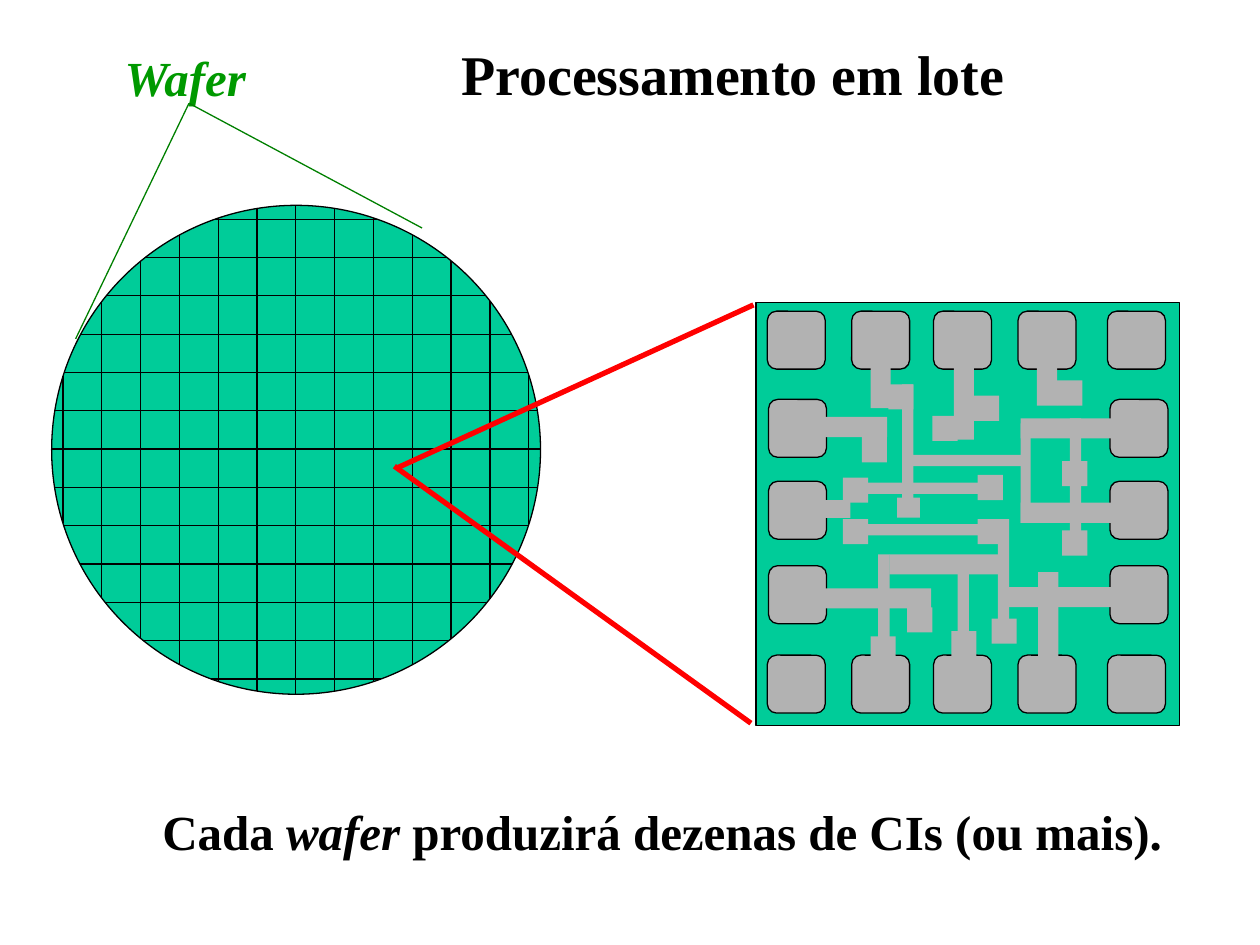
from math import sqrt
from lxml import etree
from pptx import Presentation, util as u
from pptx.dml.color import RGBColor
from pptx.enum import shapes as s, text as t
from pptx.oxml.ns import qn

TEAL = RGBColor(0x00, 0xCC, 0x99)
GRAY = RGBColor(0xB2, 0xB2, 0xB2)
BLACK = RGBColor(0, 0, 0)
RED = RGBColor(0xFF, 0, 0)
GREEN = RGBColor(0x00, 0x80, 0)
LEAF = RGBColor(0x00, 0x99, 0)
THIN = 0.74
FONT = "Times New Roman"

# Squares and bars inside the chip: left, top, width, height from its corner
PAD = 0.46
PADS = ([(x, y) for y in (0.07, 2.8) for x in (0.09, 0.76, 1.41, 2.08, 2.79)]
        + [(x, y) for x in (0.1, 2.81) for y in (0.77, 1.42, 2.09)])
FLAT = [
    (1.06, 2, 0.93, 0.16), (0.35, 0.91, 0.69, 0.16), (0.18, 1.57, 0.57, 0.14),
    (0.86, 1.76, 0.93, 0.09), (2.1, 1.59, 0.89, 0.16), (2.01, 2.26, 0.93, 0.16),
    (0.46, 2.27, 0.93, 0.16), (2.1, 0.92, 0.93, 0.16), (1.21, 1.21, 0.93, 0.09),
    (0.87, 1.43, 0.93, 0.09), (1.12, 1.55, 0.18, 0.16),
]
TALL = [
    (0.91, 0.35, 0.16, 0.49), (2.23, 0.32, 0.16, 0.5), (1.57, 0.16, 0.16, 0.93),
    (2.24, 2.14, 0.16, 0.93), (2.1, 0.96, 0.08, 0.79), (1.16, 0.65, 0.09, 0.93),
    (1.6, 2.02, 0.09, 0.93), (0.97, 2, 0.09, 0.93), (2.49, 0.92, 0.09, 0.93),
    (1.92, 1.72, 0.09, 0.88),
]
NODE = 0.2
NODES = [
    (0.69, 1.72), (0.69, 1.39), (1.76, 1.37), (1.55, 2.61), (1.76, 1.72),
    (1.05, 0.65), (0.84, 1.07), (1.4, 0.9), (0.91, 2.65), (1.2, 2.42),
    (2.43, 1.81), (2.43, 1.26), (1.73, 0.74), (1.87, 2.51), (2.39, 0.62),
]


def size(n):
    """Slide inches as a Cm length."""
    return u.Cm(n * 2.54)


def line(own, x1, y1, x2, y2, hue=BLACK, wide=THIN):
    bar = own.add_connector(s.MSO_CONNECTOR.STRAIGHT,
                            *map(size, (x1, y1, x2, y2)))
    bar.line.color.rgb = hue
    bar.line.width = u.Pt(wide)
    etree.SubElement(bar._element.spPr, qn("a:effectLst"))


def block(own, kind, box, fill, edge=True):
    item = own.add_shape(kind, *map(size, box))
    item.shadow.inherit = False
    item.fill.solid()
    item.fill.fore_color.rgb = fill
    if edge:
        item.line.color.rgb = BLACK
        item.line.width = u.Pt(THIN)
    else:
        item.line.fill.background()
    return item


def write(item, box, runs, pts, hue=BLACK):
    """Fill a text shape with bold runs, given as (words, italic)."""
    item.left, item.top, item.width, item.height = map(size, box)
    frame = item.text_frame
    frame.word_wrap = False
    frame.auto_size = t.MSO_AUTO_SIZE.SHAPE_TO_FIT_TEXT
    frame.vertical_anchor = t.MSO_ANCHOR.TOP
    para = frame.paragraphs[0]
    para.alignment = t.PP_ALIGN.LEFT
    for words, slant in runs:
        run = para.add_run()
        run.text = words
        font = run.font
        font.name, font.size = FONT, u.Pt(pts)
        font.bold, font.italic = True, slant
        font.color.rgb = hue


def label(own, box, *rest):
    write(own.add_textbox(*map(size, box)), box, *rest)


def wafer(own, x, y, wide):
    """Disc with a grid of chords that end on its rim."""
    block(own, s.MSO_SHAPE.OVAL, (x, y, wide, wide), TEAL)
    rad = wide / 2
    mid_x, mid_y = x + rad, y + rad
    for i in range(13):
        col, row = x + 0.09 + 0.308 * i, y + 0.11 + 0.304 * i
        half = sqrt(rad ** 2 - (col - mid_x) ** 2)
        line(own, col, mid_y - half, col, mid_y + half)
        half = sqrt(rad ** 2 - (row - mid_y) ** 2)
        line(own, mid_x - half, row, mid_x + half, row)


def chip(own, x, y, wide):
    """Square die with its pads, tracks and nodes."""
    part = own.add_group_shape().shapes
    block(part, s.MSO_SHAPE.RECTANGLE, (x, y, wide, wide), TEAL)
    for dx, dy in PADS:
        pad = block(part, s.MSO_SHAPE.ROUNDED_RECTANGLE,
                    (x + dx, y + dy, PAD, PAD), GRAY)
        pad.adjustments[0] = 0.16
    dots = [(dx, dy, NODE, NODE) for dx, dy in NODES]
    for dx, dy, w, h in FLAT + TALL + dots:
        block(part, s.MSO_SHAPE.RECTANGLE, (x + dx, y + dy, w, h), GRAY, False)


def zoom(own, x, y, wide, high):
    """Red rays that open from one die to the enlarged chip."""
    part = own.add_group_shape().shapes
    line(part, x + wide - 0.02, y + high, x, y + 1.28, RED, 3)
    line(part, x + 0.03, y + 1.29, x + wide, y, RED, 3)


def callout(own, x, y, wide, high):
    """Wafer name with two lines to the rim of the disc."""
    label(own, (x, y, wide, high), [("Wafer", True)], 28, LEAF)
    tip_x, tip_y = x + 0.61, y + 0.49
    line(own, tip_x, tip_y, x - 0.29, y + 2.36, GREEN)
    line(own, tip_x, tip_y, x + 2.46, y + 1.48, GREEN)


def main():
    deck = Presentation()
    deck.slide_width, deck.slide_height = size(10), size(7.5)
    page = deck.slides.add_slide(deck.slide_layouts[5])
    own = page.shapes
    wafer(own, 0.41, 1.63, 3.88)
    write(own.title, (3.56, 0.26, 4.52, 0.64),
          [("Processamento em lote", False)], 32)
    label(own, (1.19, 6.31, 8.14, 0.57),
          [("Cada ", False), ("wafer", True),
           (" produzirá dezenas de CIs (ou mais).", False)], 28)
    zoom(own, 3.13, 2.42, 2.85, 3.32)
    chip(own, 6, 2.4, 3.36)
    callout(own, 0.89, 0.33, 1.19, 0.57)
    deck.save("out.pptx")


main()
